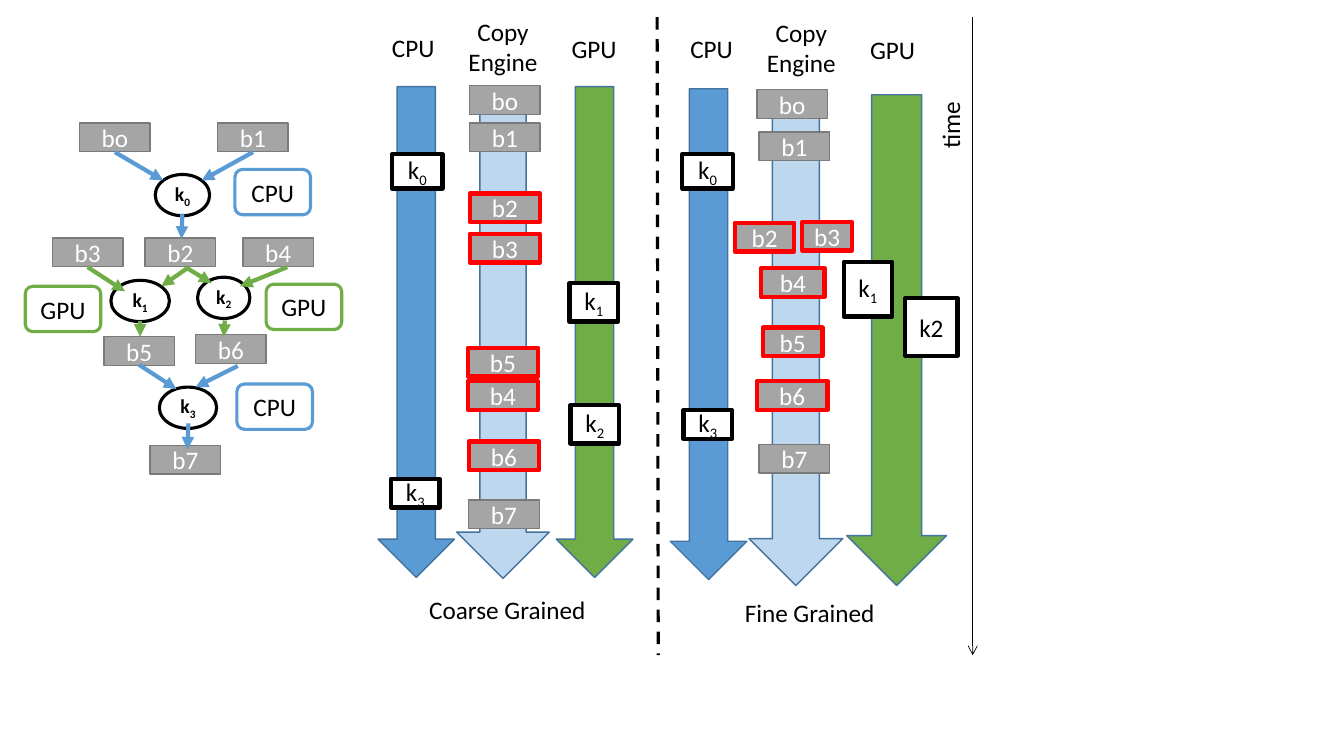
from dataclasses import dataclass
from typing import Any, Optional, Union

from lxml.etree import SubElement
from pptx import Presentation
from pptx.dml.color import RGBColor
from pptx.enum.dml import MSO_LINE_DASH_STYLE as Dash
from pptx.enum.shapes import MSO_CONNECTOR as Connector, MSO_SHAPE as Preset
from pptx.enum.text import MSO_ANCHOR as Anchor, MSO_AUTO_SIZE as AutoSize, PP_ALIGN as Align
from pptx.oxml.ns import qn
from pptx.shapes.shapetree import GroupShapes, SlideShapes
from pptx.text.text import TextFrame
from pptx.util import Pt

Shapes = Union[SlideShapes, GroupShapes]
BLACK, WHITE, RED = "000000", "FFFFFF", "FF0000"
BLUE, GREEN, PALE_BLUE, GRAY = "5B9BD5", "70AD47", "BDD7EE", "A5A5A5"
BUFFER_WIDTH, BUFFER_HEIGHT = 50.4, 20.5
LANE_HEIGHT = 350.6
HEADING_WIDTH = 64


@dataclass(frozen=True)
class Style:
    """Look of one kind of shape; no fill colour means see-through."""
    preset: Any
    fill: Optional[str]
    line: str
    line_width: float
    text_color: str = BLACK
    size: float = 18
    bold: bool = False


@dataclass(frozen=True)
class Box:
    """A styled shape; its label marks a subscript with an underscore."""
    style: Style
    label: str
    left: float
    top: float
    width: float = BUFFER_WIDTH
    height: float = BUFFER_HEIGHT


@dataclass(frozen=True)
class Link:
    """A straight line between two points."""
    color: str
    start: tuple[float, float]
    end: tuple[float, float]
    width: float = 3
    head: Optional[str] = "triangle"
    dash: Any = None


@dataclass(frozen=True)
class Caption:
    """A free text box."""
    text: str
    left: float
    top: float
    width: float = HEADING_WIDTH
    height: float = 28.8
    align: Any = Align.CENTER
    wrap: bool = False
    rotation: float = 0


NODE = Style(Preset.OVAL, WHITE, BLACK, 2.25, size=14, bold=True)
KERNEL = Style(Preset.RECTANGLE, WHITE, BLACK, 3)
BUFFER = Style(Preset.RECTANGLE, GRAY, "7A7A7A", 1, WHITE)
COPIED = Style(Preset.RECTANGLE, GRAY, RED, 3, WHITE)
CPU_TAG = Style(Preset.FLOWCHART_ALTERNATE_PROCESS, None, BLUE, 2.25)
GPU_TAG = Style(Preset.FLOWCHART_ALTERNATE_PROCESS, None, GREEN, 2.25)
COPY_LANE, CPU_LANE, GPU_LANE = (
    Style(Preset.DOWN_ARROW, fill, "43739E", 1) for fill in (PALE_BLUE, BLUE, GREEN))

GRAPH_BOXES = [
    Box(NODE, "k_0", 110.9, 124.6, 38.9, 29.5), Box(NODE, "k_1", 79.2, 200.2, 41.8, 29.5),
    Box(NODE, "k_2", 141.1, 198, 37.4, 29.5), Box(NODE, "k_3", 113.8, 276.5, 41, 29.5),
    Box(CPU_TAG, "CPU", 167.8, 121, 54, 32.4), Box(GPU_TAG, "GPU", 18, 204.5, 54, 32.4),
    Box(CPU_TAG, "CPU", 169.2, 274.3, 54, 32.4), Box(GPU_TAG, "GPU", 190.1, 203, 54, 32.4),
    Box(BUFFER, "bo", 56.9, 87.8), Box(BUFFER, "b1", 155.5, 87.8),
    Box(BUFFER, "b3", 37.4, 169.9), Box(BUFFER, "b4", 173.5, 169.9),
    Box(BUFFER, "b2", 103.7, 169.9), Box(BUFFER, "b5", 74.2, 240.5),
    Box(BUFFER, "b6", 139.7, 239), Box(BUFFER, "b7", 107.3, 318.2),
]
GRAPH_LINKS = [
    Link(BLUE, (82.1, 108.7), (116.6, 128.9)), Link(BLUE, (180.7, 108.7), (144, 128.9)),
    Link(BLUE, (130.3, 152.6), (129.6, 170.6)), Link(BLUE, (99.4, 260.6), (126, 277.9)),
    Link(BLUE, (169.9, 261.4), (139.7, 276.5)), Link(BLUE, (134.6, 302.4), (133.9, 321.1)),
    Link(GREEN, (62.6, 190.8), (89.3, 208.1)), Link(GREEN, (205.2, 190.8), (171.4, 204.5)),
    Link(GREEN, (133.9, 191.5), (115.2, 204.5)), Link(GREEN, (132.5, 190.8), (151.2, 202.3)),
    Link(GREEN, (100.1, 229), (100.1, 240.5)), Link(GREEN, (160.6, 229), (159.8, 240.5)),
]
COARSE_BOXES = [
    Box(COPY_LANE, "", 326.2, 62.6, 66.2, LANE_HEIGHT),
    Box(CPU_LANE, "", 270, 61.9, 54.7, LANE_HEIGHT),
    Box(GPU_LANE, "", 397.4, 61.9, 54.7, LANE_HEIGHT),
    Box(BUFFER, "bo", 335.5, 61.2), Box(BUFFER, "b1", 335.5, 87.8),
    Box(COPIED, "b2", 335.5, 138.2), Box(COPIED, "b3", 335.5, 167),
    Box(COPIED, "b4", 334.1, 272.2), Box(COPIED, "b5", 334.1, 248.4),
    Box(BUFFER, "b7", 334.8, 357.1), Box(COPIED, "b6", 334.8, 315.4),
    Box(KERNEL, "k_0", 280.1, 110.2, 36, 24.5), Box(KERNEL, "k_1", 406.8, 202.3, 34.6, 27.4),
    Box(KERNEL, "k_2", 407.5, 289.4, 34.6, 27.4), Box(KERNEL, "k_3", 279.4, 342, 34.6),
]
FINE_BOXES = [
    Box(COPY_LANE, "", 535, 67.7, 67, LANE_HEIGHT),
    Box(CPU_LANE, "", 478.8, 63.4, 54.7, LANE_HEIGHT),
    Box(GPU_LANE, "", 604.8, 67.7, 71.3, LANE_HEIGHT),
    Box(BUFFER, "bo", 540.7, 64.1), Box(BUFFER, "b1", 542.2, 94.3),
    Box(COPIED, "b3", 573.1, 158.4, 35.3), Box(COPIED, "b2", 524.9, 159.1, 42.5),
    Box(COPIED, "b4", 543.6, 191.5, 45.4), Box(COPIED, "b5", 545, 234, 42.5),
    Box(COPIED, "b6", 540.7, 272.2), Box(BUFFER, "b7", 542.2, 317.5),
    Box(KERNEL, "k_0", 487.4, 110.2, 36, 24.5), Box(KERNEL, "k_1", 602.6, 187.2, 34.6, 38.9),
    Box(KERNEL, "k2", 646.6, 213.1, 37.4, 41), Box(KERNEL, "k_3", 488.2, 293, 34.6),
]
AXES = [
    Link(BLACK, (469.4, 12.2), (470.2, 468), 2.25, None, Dash.DASH),
    Link(BLACK, (694.8, 12.2), (694.8, 468), 0.5, "arrow"),
]
CAPTIONS = [
    Caption("Coarse Grained", 299.5, 421.2, 142.6, align=Align.LEFT, wrap=True),
    Caption("Fine Grained", 524.9, 423.4, 142.6, align=Align.LEFT, wrap=True),
    Caption("CPU", 263.2, 19.4), Caption("CPU", 476.3, 20.2),
    Caption("Copy\nEngine", 327.3, 7.9, height=51.1),
    Caption("Copy\nEngine", 540.4, 8.6, height=51.1),
    Caption("GPU", 392.4, 20.2), Caption("GPU", 605.6, 20.9),
    Caption("time", 614.2, 34.6, 128.9, align=Align.LEFT, wrap=True, rotation=270),
]


def rgb(color: str) -> RGBColor:
    """Turn a hex string into a colour."""
    return RGBColor.from_string(color)


def apply(target: Any, values: dict[str, Any]) -> None:
    """Set each named attribute on the target."""
    for name, value in values.items():
        setattr(target, name, value)


def write_text(frame: TextFrame, text: str, align: Any, color: str = BLACK,
               size: float = 18, bold: bool = False) -> None:
    """Write one paragraph a line, lowering what follows an underscore."""
    for index, line in enumerate(text.split("\n")):
        paragraph = frame.add_paragraph() if index else frame.paragraphs[0]
        paragraph.alignment = align
        for position, part in enumerate(line.split("_")):
            run = paragraph.add_run()
            run.text = part
            apply(run.font, {"name": "Calibri", "size": Pt(size), "bold": bold})
            run.font.color.rgb = rgb(color)
            if position:
                run.font._element.set("baseline", "-25000")


def draw_box(shapes: Shapes, box: Box) -> None:
    """Draw a preset shape with its label."""
    style = box.style
    shape = shapes.add_shape(style.preset, Pt(box.left), Pt(box.top), Pt(box.width), Pt(box.height))
    shape.shadow.inherit = False
    if style.fill:
        shape.fill.solid()
        shape.fill.fore_color.rgb = rgb(style.fill)
    else:
        shape.fill.background()
    shape.line.color.rgb = rgb(style.line)
    shape.line.width = Pt(style.line_width)
    if box.label:
        apply(shape.text_frame, {"word_wrap": False, "vertical_anchor": Anchor.MIDDLE})
        write_text(shape.text_frame, box.label, Align.CENTER, style.text_color, style.size, style.bold)


def draw_link(shapes: Shapes, link: Link) -> None:
    """Draw a straight line, with an arrowhead at its end if it has one."""
    connector = shapes.add_connector(Connector.STRAIGHT, *map(Pt, link.start + link.end))
    connector.line.color.rgb = rgb(link.color)
    apply(connector.line, {"width": Pt(link.width), "dash_style": link.dash})
    if link.head:
        SubElement(connector.line._get_or_add_ln(), qn("a:tailEnd"), type=link.head)
    SubElement(connector._element.spPr, qn("a:effectLst"))


def draw_caption(shapes: Shapes, caption: Caption) -> None:
    """Draw a text box that grows with its text."""
    box = shapes.add_textbox(*map(Pt, (caption.left, caption.top, caption.width, caption.height)))
    box.rotation = caption.rotation
    apply(box.text_frame, {"word_wrap": caption.wrap, "auto_size": AutoSize.SHAPE_TO_FIT_TEXT})
    write_text(box.text_frame, caption.text, caption.align)


presentation = Presentation()
apply(presentation, {"slide_width": Pt(960), "slide_height": Pt(540)})
slide = presentation.slides.add_slide(presentation.slide_layouts[6])
graph = slide.shapes.add_group_shape()
for shapes, boxes, links in ((graph.shapes, GRAPH_BOXES, GRAPH_LINKS),
                             (slide.shapes, COARSE_BOXES + FINE_BOXES, AXES)):
    for box in boxes:
        draw_box(shapes, box)
    for link in links:
        draw_link(shapes, link)
for caption in CAPTIONS:
    draw_caption(slide.shapes, caption)
presentation.save("out.pptx")
